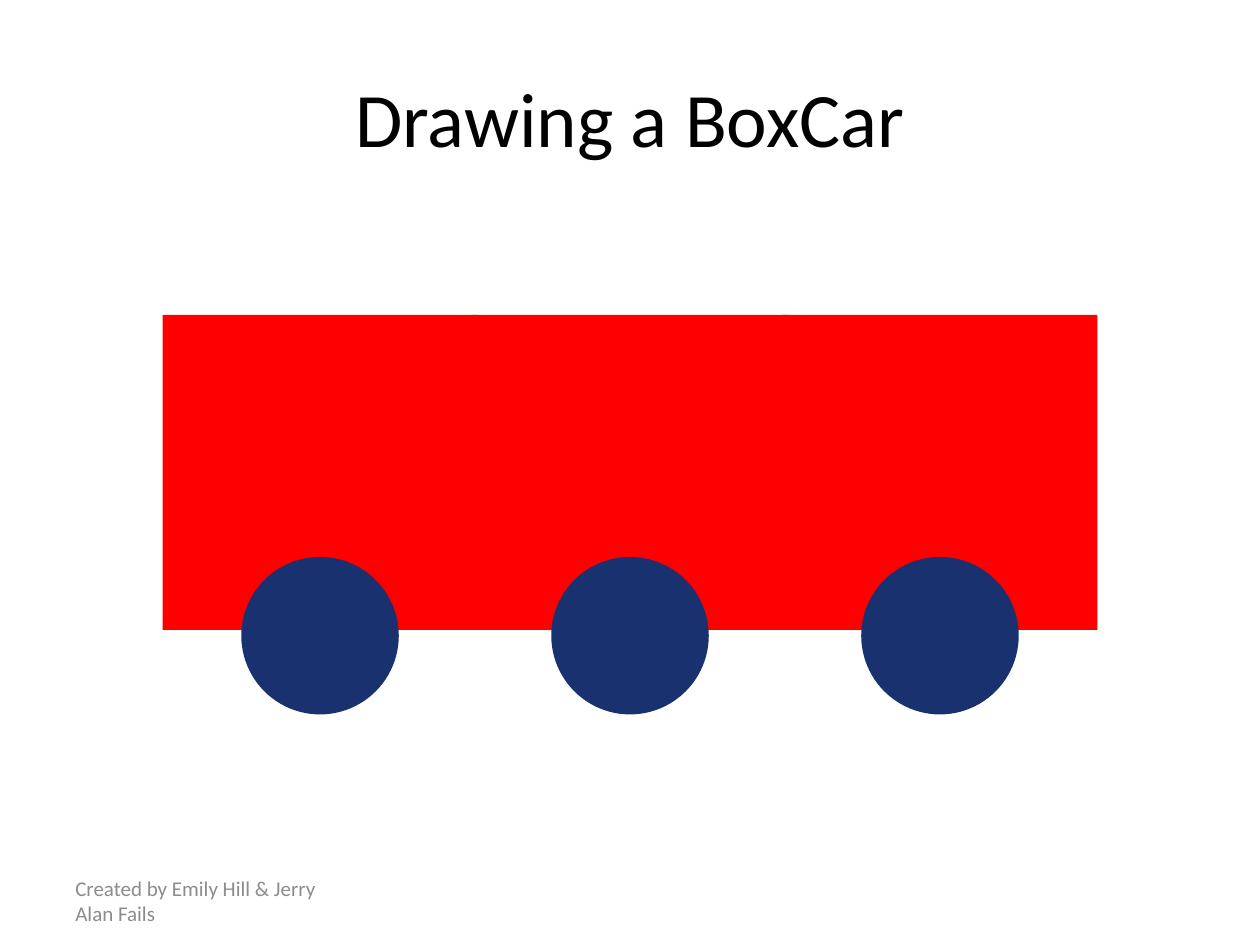
from pptx import Presentation
from pptx.dml.color import RGBColor
from pptx.enum.shapes import MSO_SHAPE
from pptx.enum.text import MSO_ANCHOR, PP_ALIGN
from pptx.util import Inches, Pt

BLACK = RGBColor(0x00, 0x00, 0x00)
GRAY = RGBColor(0x8C, 0x8C, 0x8C)
RED = RGBColor(0xFF, 0x00, 0x00)
NAVY = RGBColor(0x1A, 0x31, 0x70)

BOX_SIZE = 2.5
WHEEL_SIZE = 1.25
CAR_COUNT = 3
CAR_STEP = 2.46


def write_text(shape, box, text, size, color, align):
    """Place a text shape in box and fill it with one formatted paragraph."""
    shape.left, shape.top, shape.width, shape.height = map(Inches, box)
    frame = shape.text_frame
    frame.word_wrap = True
    frame.vertical_anchor = MSO_ANCHOR.MIDDLE
    frame.text = text
    paragraph = frame.paragraphs[0]
    paragraph.alignment = align
    paragraph.font.name = "Calibri"
    paragraph.font.size = Pt(size)
    paragraph.font.color.rgb = color


def add_part(car, kind, left, top, size, color):
    """Add a plain square-sided part to a car group."""
    part = car.shapes.add_shape(
        kind, Inches(left), Inches(top), Inches(size), Inches(size))
    part.shadow.inherit = False
    part.fill.solid()
    part.fill.fore_color.rgb = color
    part.line.fill.background()


def add_car(slide, left, top):
    """Add one grouped box with a wheel centred near its lower edge."""
    car = slide.shapes.add_group_shape()
    add_part(car, MSO_SHAPE.RECTANGLE, left, top, BOX_SIZE, RED)
    wheel_left = left + (BOX_SIZE - WHEEL_SIZE) / 2
    add_part(car, MSO_SHAPE.OVAL, wheel_left, top + 1.92, WHEEL_SIZE, NAVY)


def add_train(slide, left, top):
    """Add the row of evenly stepped, slightly overlapping cars."""
    for index in range(CAR_COUNT):
        add_car(slide, left + index * CAR_STEP, top)


def build_boxcar_slide(deck):
    """Build the slide with its title, credit and train."""
    slide = deck.slides.add_slide(deck.slide_layouts.get_by_name("Title Only"))
    write_text(slide.shapes.title, (0.5, 0.3, 9, 1.25),
               "Drawing a BoxCar", 44, BLACK, PP_ALIGN.CENTER)
    credit = slide.shapes.add_textbox(0, 0, 0, 0)
    write_text(credit, (0.5, 6.95, 2.33, 0.4),
               "Created by Emily Hill & Jerry Alan Fails", 12, GRAY, PP_ALIGN.LEFT)
    add_train(slide, 1.29, 2.5)


deck = Presentation()
deck.slide_width, deck.slide_height = Inches(10), Inches(7.5)
build_boxcar_slide(deck)
deck.save("out.pptx")
